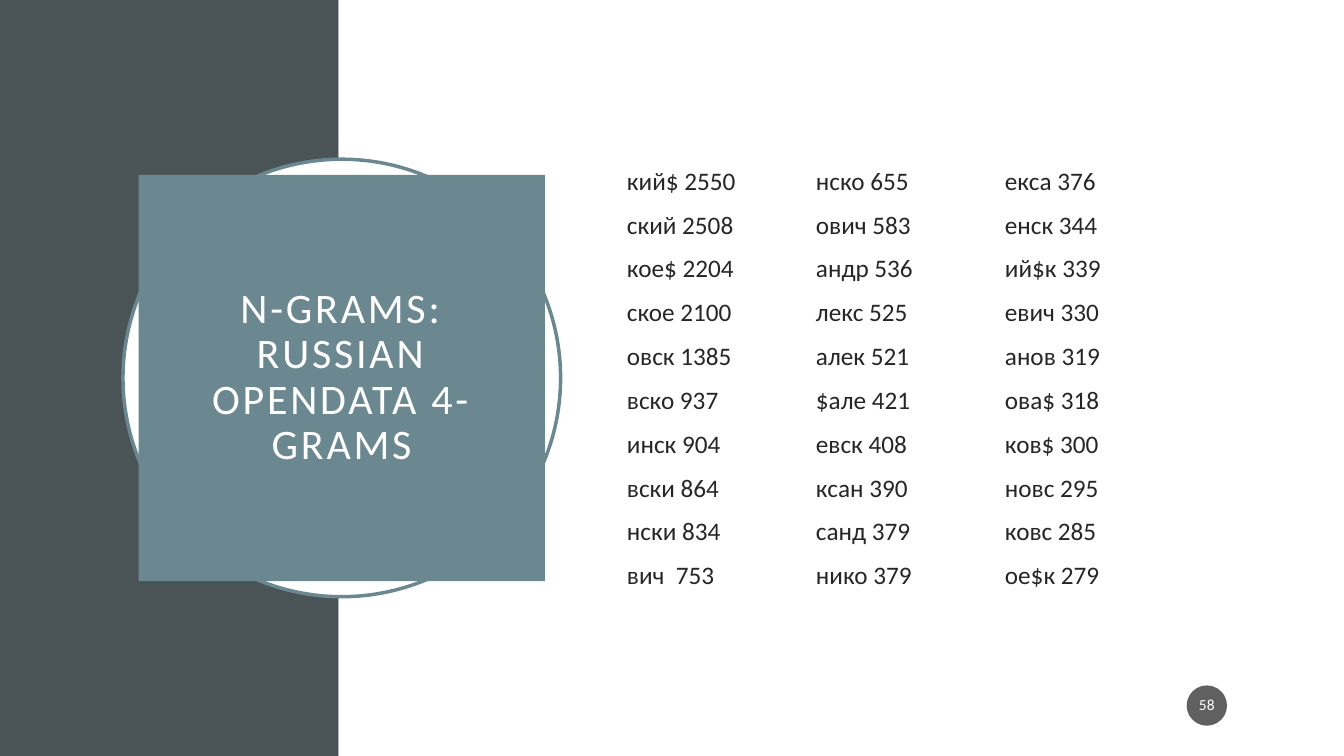
"""Build the slide of Russian 4-gram counts."""
from lxml.etree import SubElement
from pptx import Presentation
from pptx.dml.color import RGBColor
from pptx.enum.shapes import MSO_SHAPE
from pptx.enum.text import MSO_ANCHOR, PP_ALIGN
from pptx.oxml.ns import qn
from pptx.util import Inches, Pt

TITLE = "N-GRAMS: RUSSIAN OPENDATA 4-GRAMS"
PAGE = "58"
GRAMS = [
    ["кий$ 2550", "ский 2508", "кое$ 2204", "ское 2100", "овск 1385",
     "вско 937", "инск 904", "вски 864", "нски 834", "вич  753"],
    ["нско 655", "ович 583", "андр 536", "лекс 525", "алек 521",
     "$але 421", "евск 408", "ксан 390", "санд 379", "нико 379"],
    ["екса 376", "енск 344", "ий$к 339", "евич 330", "анов 319",
     "ова$ 318", "ков$ 300", "новс 295", "ковс 285", "ое$к 279"],
]
THEME = {
    "font": "Calibri", "title": 30, "body": 18, "page": 11,
    "slate": "4A5356", "teal": "6B8891", "white": "FFFFFF",
    "ink": "262626", "badge": "1D1D1D",
}
WIDE, HIGH = 13.33, 7.5
BAND = 3.36
HUB = (3.39, HIGH / 2)
RING, CARD, DOT = 4.34, 4.03, 0.4

deck = Presentation()
deck.slide_width, deck.slide_height = Inches(WIDE), Inches(HIGH)
slide = deck.slides.add_slide(deck.slide_layouts[6])


def tint(name):
    return RGBColor.from_string(THEME[name])


def block(kind, left, top, width, height, fill, line=None):
    shape = slide.shapes.add_shape(
        kind, *map(Inches, (left, top, width, height)))
    shape.shadow.inherit = False
    shape.fill.solid()
    shape.fill.fore_color.rgb = tint(fill)
    if line:
        shape.line.color.rgb = tint(line)
        shape.line.width = Pt(2.5)
    else:
        shape.line.fill.background()
    return shape


def center(kind, hub, size, fill, line=None):
    x, y = hub
    return block(kind, x - size / 2, y - size / 2, size, size, fill, line)


def write(shape, lines, size, color, align=PP_ALIGN.LEFT, pad=(0.1, 0.05),
          before=0, after=0, lead=1.0, track=0):
    frame = shape.text_frame
    frame.word_wrap = True
    frame.vertical_anchor = MSO_ANCHOR.MIDDLE
    frame.margin_left = frame.margin_right = Inches(pad[0])
    frame.margin_top = frame.margin_bottom = Inches(pad[1])
    for i, line in enumerate(lines):
        para = frame.add_paragraph() if i else frame.paragraphs[0]
        para.alignment, para.line_spacing = align, lead
        para.space_before, para.space_after = Pt(before), Pt(after)
        run = para.add_run()
        run.text = line
        run.font.name, run.font.size = THEME["font"], Pt(THEME[size])
        run.font.color.rgb = tint(color)
        if track:
            run.font._element.set("spc", str(track * 100))


block(MSO_SHAPE.RECTANGLE, 0, 0, BAND, HIGH, "slate")
block(MSO_SHAPE.RECTANGLE, BAND, 0, WIDE - BAND, HIGH, "white")
center(MSO_SHAPE.OVAL, HUB, RING, "white", "teal")
card = center(MSO_SHAPE.RECTANGLE, HUB, CARD, "teal")
write(card, [TITLE], "title", "white", PP_ALIGN.CENTER,
      pad=(0.7, 0.2), lead=0.9, track=2)

body = slide.shapes.add_textbox(*map(Inches, (6.12, 1.53, 5.82, 4.43)))
write(body, sum(GRAMS, []), "body", "ink", pad=(0.1, 0), before=9.7)
body.element.txBody.bodyPr.set("numCol", str(len(GRAMS)))

badge = center(MSO_SHAPE.OVAL, (11.97, 7), DOT, "badge")
shade = badge.element.spPr.find(qn("a:solidFill")).find(qn("a:srgbClr"))
SubElement(shade, qn("a:alpha")).set("val", "70000")
write(badge, [PAGE], "page", "white", PP_ALIGN.CENTER,
      pad=(0.02, 0.05), after=6, lead=0.9)

deck.save("out.pptx")
